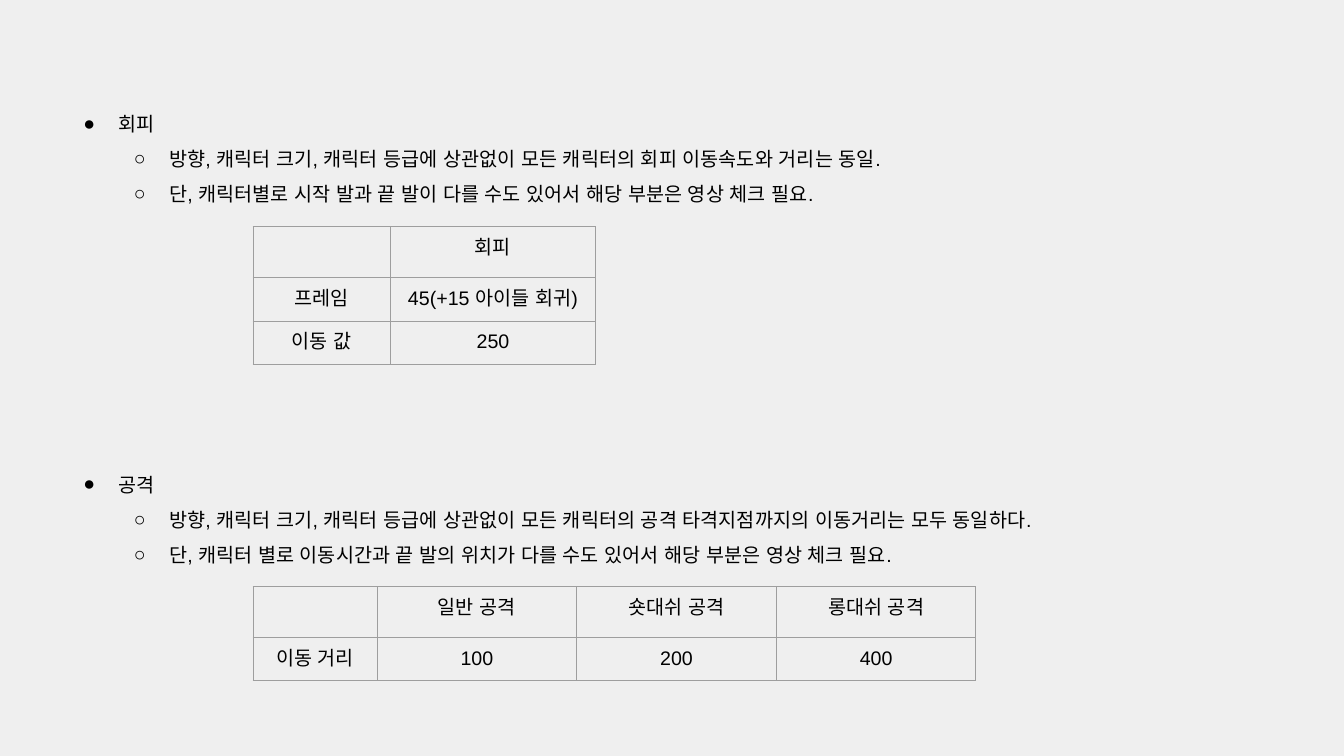
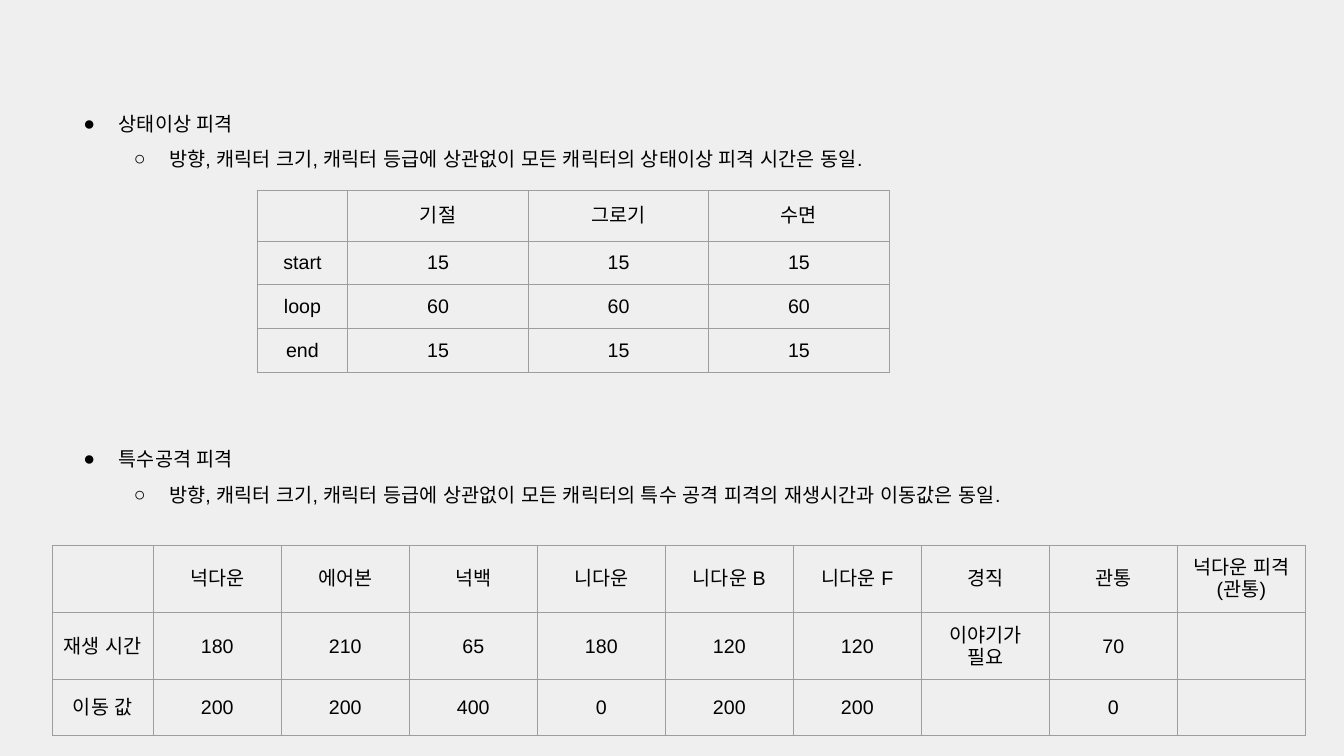
from dataclasses import dataclass

from lxml.etree import SubElement
from pptx import Presentation
from pptx.dml.color import RGBColor
from pptx.enum.lang import MSO_LANGUAGE_ID
from pptx.enum.text import MSO_ANCHOR, MSO_AUTO_SIZE, PP_ALIGN
from pptx.oxml.ns import qn
from pptx.util import Inches, Pt


@dataclass(frozen=True)
class Theme:
    background: str = "EFEFEF"
    text: str = "000000"
    border: str = "9E9E9E"
    font: str = "Arial"
    size: int = 14
    border_width: float = 0.75
    line_spacing: float = 1.5
    inset: float = 0.1
    bullets: tuple = ("●", "○")


class Deck:
    """Holds the style and the current slide."""

    def __init__(self, theme):
        self.theme = theme
        self.presentation = Presentation()
        self.presentation.slide_width = Inches(13.33)
        self.presentation.slide_height = Inches(7.5)
        fill = self.presentation.slide_master.background.fill
        fill.solid()
        fill.fore_color.rgb = RGBColor.from_string(theme.background)
        self.slide = None

    def new_slide(self):
        layout = self.presentation.slide_layouts[6]
        self.slide = self.presentation.slides.add_slide(layout)

    def style_runs(self, paragraph):
        for run in paragraph.runs:
            font = run.font
            font.name = self.theme.font
            font.size = Pt(self.theme.size)
            font.color.rgb = RGBColor.from_string(self.theme.text)
            font.language_id = MSO_LANGUAGE_ID.KOREAN
            # Korean glyphs take the East Asian typeface
            east_asian = SubElement(font._element, qn("a:ea"))
            east_asian.set("typeface", self.theme.font)

    def add_bullet(self, paragraph, level):
        properties = paragraph._p.get_or_add_pPr()
        properties.set("marL", str(Inches(0.5 * (level + 1))))
        properties.set("indent", str(Inches(-0.35)))
        color = SubElement(properties, qn("a:buClr"))
        SubElement(color, qn("a:srgbClr")).set("val", self.theme.text)
        SubElement(properties, qn("a:buFont")).set("typeface", self.theme.font)
        SubElement(properties, qn("a:buChar")).set("char", self.theme.bullets[level])

    def add_topic(self, top, heading, details):
        """Heading bullet with its details one level below."""
        lines = [(heading, 0)] + [(detail, 1) for detail in details]
        box = self.slide.shapes.add_textbox(
            Inches(0.58), Inches(top), Inches(12.16), Inches(0.2 + 0.35 * len(lines)))
        frame = box.text_frame
        frame.word_wrap = True
        frame.auto_size = MSO_AUTO_SIZE.SHAPE_TO_FIT_TEXT
        frame.margin_left = frame.margin_right = Inches(self.theme.inset)
        frame.margin_top = frame.margin_bottom = Inches(self.theme.inset)
        frame.text = "\n".join(text for text, _ in lines)
        for paragraph, (_, level) in zip(frame.paragraphs, lines):
            paragraph.level = level
            self.add_bullet(paragraph, level)
            paragraph.line_spacing = self.theme.line_spacing
            self.style_runs(paragraph)

    def add_borders(self, cell):
        properties = cell._tc.get_or_add_tcPr()
        for side in ("lnL", "lnR", "lnT", "lnB"):
            line = SubElement(properties, qn(f"a:{side}"))
            line.set("w", str(Pt(self.theme.border_width)))
            fill = SubElement(line, qn("a:solidFill"))
            SubElement(fill, qn("a:srgbClr")).set("val", self.theme.border)

    def style_cell(self, cell, text, anchor):
        self.add_borders(cell)
        cell.fill.background()
        cell.vertical_anchor = anchor
        cell.margin_left = cell.margin_right = Inches(self.theme.inset)
        cell.margin_top = cell.margin_bottom = Inches(self.theme.inset)
        if text:
            cell.text_frame.text = text
            paragraph = cell.text_frame.paragraphs[0]
            paragraph.alignment = PP_ALIGN.CENTER
            self.style_runs(paragraph)

    def add_values(self, left, top, label_width, value_width, rows,
                   heights=None, anchor=MSO_ANCHOR.MIDDLE):
        """Table with a label column and equal value columns."""
        heights = heights or [0.49] + [0.43] * (len(rows) - 1)
        widths = [label_width] + [value_width] * (len(rows[0]) - 1)
        table = self.slide.shapes.add_table(
            len(rows), len(widths), Inches(left), Inches(top),
            Inches(sum(widths)), Inches(sum(heights))).table
        table.first_row = table.horz_banding = False
        for column, width in zip(table.columns, widths):
            column.width = Inches(width)
        for row, height, texts in zip(table.rows, heights, rows):
            row.height = Inches(height)
            for cell, text in zip(row.cells, texts):
                self.style_cell(cell, text, anchor)


def add_dodge_and_attack(deck):
    deck.new_slide()

    # Dodge
    deck.add_topic(0.89, "회피", [
        "방향, 캐릭터 크기, 캐릭터 등급에 상관없이 모든 캐릭터의 회피 이동속도와 거리는 동일.",
        "단, 캐릭터별로 시작 발과 끝 발이 다를 수도 있어서 해당 부분은 영상 체크 필요.",
    ])
    deck.add_values(2.51, 2.25, 1.36, 2.04, [
        ["", "회피"],
        ["프레임", "45(+15 아이들 회귀)"],
        ["이동 값", "250"],
    ], anchor=MSO_ANCHOR.TOP)

    # Attack
    deck.add_topic(4.47, "공격", [
        "방향, 캐릭터 크기, 캐릭터 등급에 상관없이 모든 캐릭터의 공격 타격지점까지의 이동거리는 모두 동일하다.",
        "단, 캐릭터 별로 이동시간과 끝 발의 위치가 다를 수도 있어서 해당 부분은 영상 체크 필요.",
    ])
    deck.add_values(2.51, 5.82, 1.23, 1.98, [
        ["", "일반 공격", "숏대쉬 공격", "롱대쉬 공격"],
        ["이동 거리", "100", "200", "400"],
    ], anchor=MSO_ANCHOR.TOP)


def add_hit_reactions(deck):
    deck.new_slide()

    # Status effects
    deck.add_topic(0.89, "상태이상 피격", [
        "방향, 캐릭터 크기, 캐릭터 등급에 상관없이 모든 캐릭터의 상태이상 피격 시간은 동일.",
    ])
    phases = [("start", "15"), ("loop", "60"), ("end", "15")]
    deck.add_values(2.55, 1.89, 0.9, 1.79, [
        ["", "기절", "그로기", "수면"],
        *([phase] + [frames] * 3 for phase, frames in phases),
    ])

    # Special attacks
    deck.add_topic(4.22, "특수공격 피격", [
        "방향, 캐릭터 크기, 캐릭터 등급에 상관없이 모든 캐릭터의 특수 공격 피격의 재생시간과 이동값은 동일.",
    ])
    deck.add_values(0.52, 5.41, 1, 1.27, [
        ["", "넉다운", "에어본", "넉백", "니다운", "니다운 B", "니다운 F",
         "경직", "관통", "넉다운 피격(관통)"],
        ["재생 시간", "180", "210", "65", "180", "120", "120", "이야기가 필요", "70", ""],
        ["이동 값", "200", "200", "400", "0", "200", "200", "", "0", ""],
    ], heights=[0.66, 0.66, 0.55])


def main():
    deck = Deck(Theme())
    add_dodge_and_attack(deck)
    add_hit_reactions(deck)
    deck.presentation.save("out.pptx")


if __name__ == "__main__":
    main()
